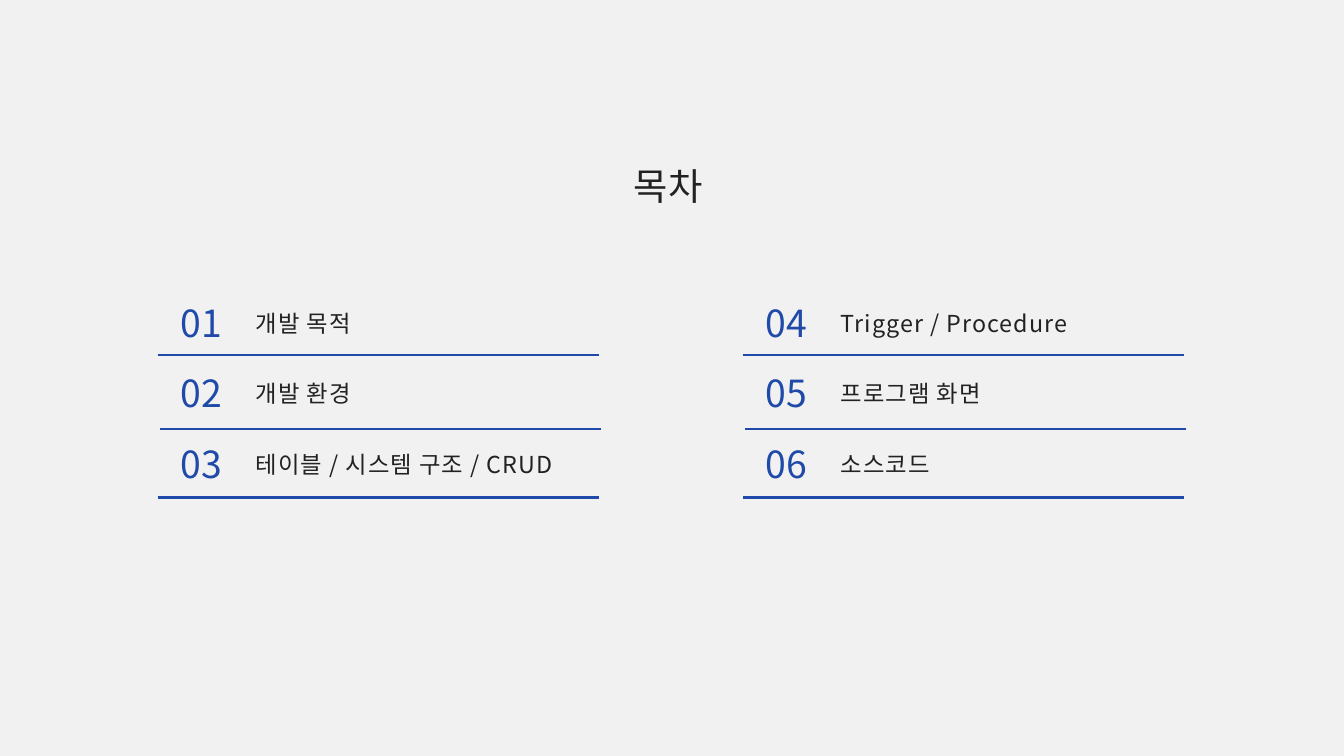
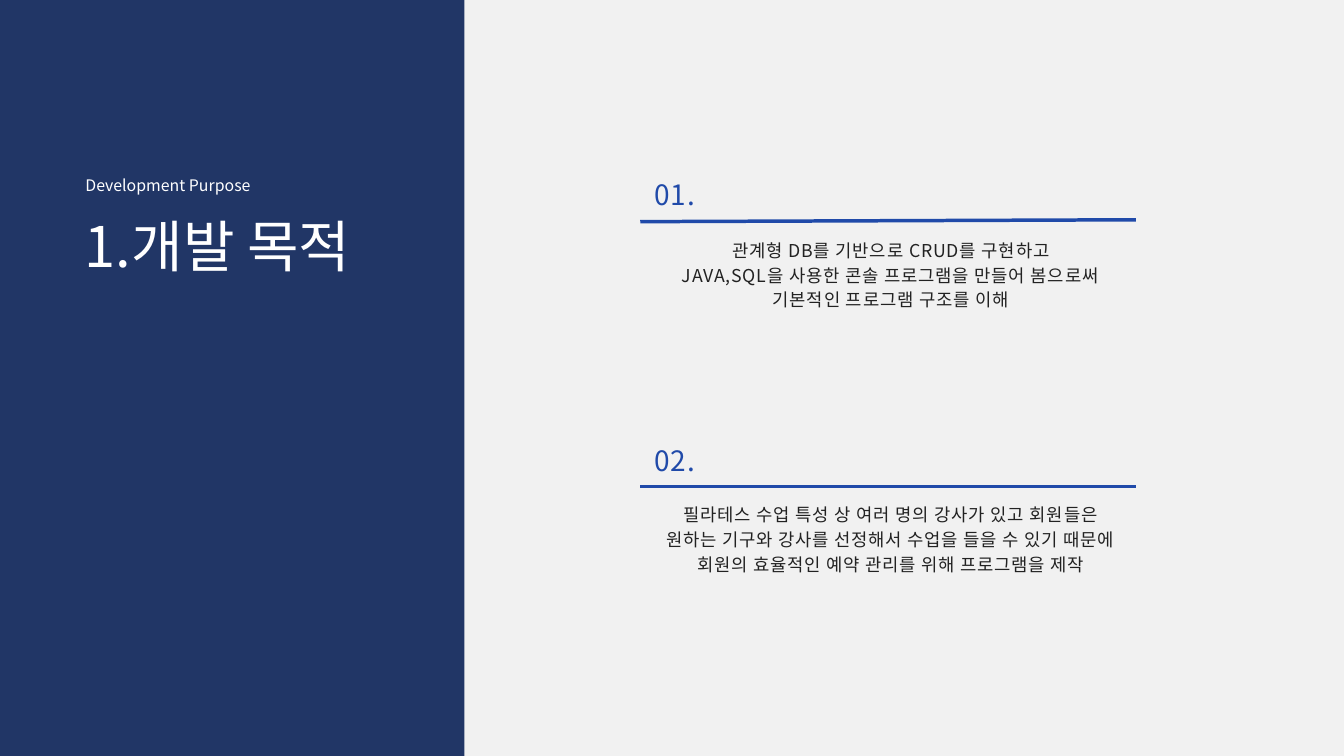
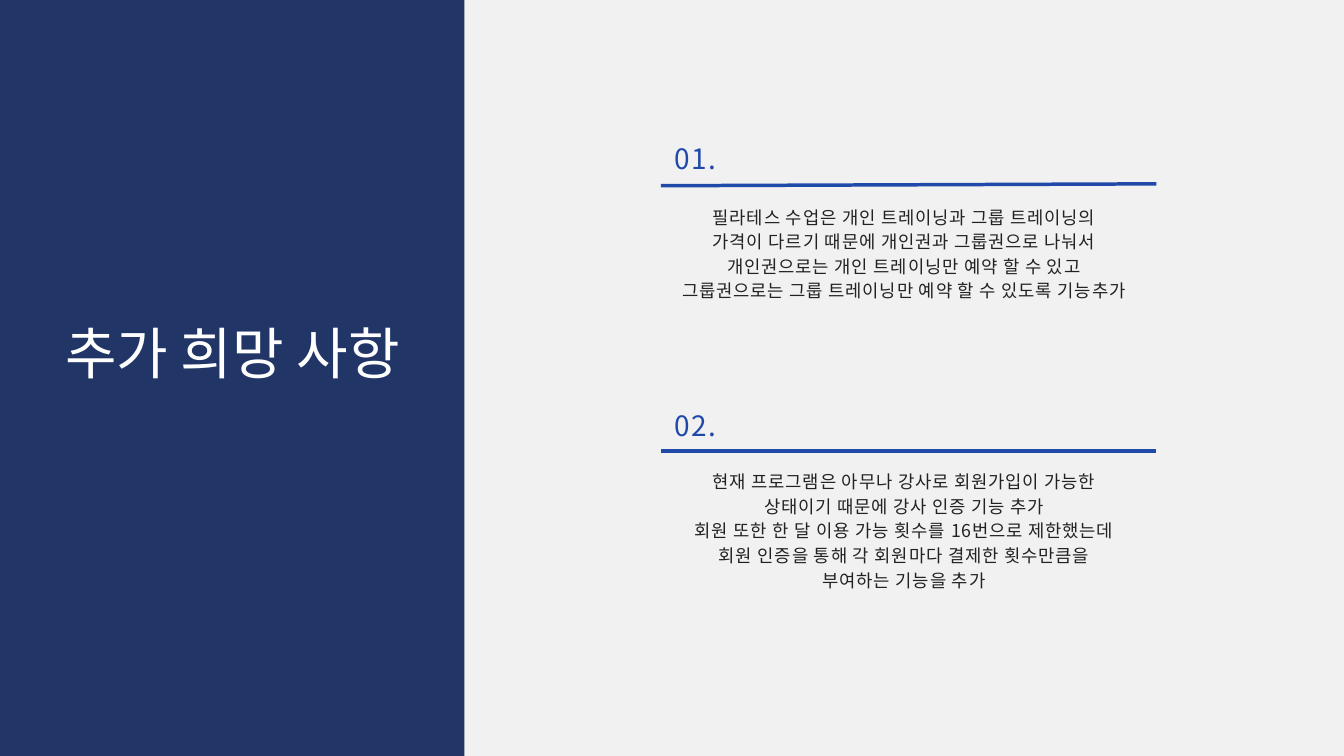
from lxml.etree import SubElement
from pptx import Presentation
from pptx.dml.color import RGBColor
from pptx.enum.shapes import MSO_CONNECTOR, MSO_SHAPE
from pptx.enum.text import MSO_AUTO_SIZE, PP_ALIGN
from pptx.oxml.ns import qn
from pptx.util import Pt

COLORS = {
    "background": "F1F1F1",
    "panel": "213666",
    "accent": "204AA9",
    "text": "222222",
    "white": "FFFFFF",
}
KOREAN_FONT = "Calibri"
MIXED_FONT = "Noto Sans CJK KR"
SLIDE_WIDTH, SLIDE_HEIGHT = 1440, 810

# size, line spacing, letter spacing, colour, alignment
STYLES = {
    "heading": (40, 56, 0, "text", PP_ALIGN.CENTER),
    "entry number": (40, 56, 0, "accent", PP_ALIGN.CENTER),
    "entry": (25, 34.7, 1.1, "text", PP_ALIGN.JUSTIFY),
    "panel title": (60, 84, 0, "white", PP_ALIGN.LEFT),
    "panel caption": (17, 23.8, 0, "white", PP_ALIGN.LEFT),
    "section number": (30, 41.7, 1.4, "accent", PP_ALIGN.LEFT),
    "body": (19, 26.4, 0.9, "text", PP_ALIGN.CENTER),
}

# number top, entry top, rule top, rule shift to the right
CONTENTS_ROWS = (
    (0, 12.5, 66.5, 0),
    (75, 88, 145.5, 2.5),
    (151, 163.5, 219, 0),
)


def rgb(name):
    return RGBColor.from_string(COLORS[name])


def font_for(line):
    """Lines holding Latin letters or digits use the mixed font."""
    mixed = any(char.isascii() and char.isalnum() for char in line)
    return MIXED_FONT if mixed else KOREAN_FONT


def add_slide(presentation):
    slide = presentation.slides.add_slide(presentation.slide_layouts[6])
    slide.background.fill.solid()
    slide.background.fill.fore_color.rgb = rgb("background")
    return slide


def add_numbering(paragraph, indent):
    paragraph.level = 1
    properties = paragraph._p.get_or_add_pPr()
    properties.set("marL", str(Pt(2 * indent)))
    properties.set("indent", str(-Pt(indent)))
    color = SubElement(properties, qn("a:buClr"))
    SubElement(color, qn("a:srgbClr"), val=COLORS["white"])
    SubElement(properties, qn("a:buFont"), typeface=MIXED_FONT)
    SubElement(properties, qn("a:buAutoNum"), type="arabicPeriod")


def add_text(slide, box, lines, style, align=None, numbering_indent=None):
    size, line_spacing, letter_spacing, color, default_align = STYLES[style]
    shape = slide.shapes.add_textbox(*map(Pt, box))
    frame = shape.text_frame
    frame.margin_left = frame.margin_right = 0
    frame.margin_top = frame.margin_bottom = 0
    frame.word_wrap = True
    frame.auto_size = MSO_AUTO_SIZE.SHAPE_TO_FIT_TEXT
    frame.text = "\n".join(lines)
    for paragraph, line in zip(frame.paragraphs, lines):
        if numbering_indent:
            add_numbering(paragraph, numbering_indent)
        paragraph.alignment = align or default_align
        paragraph.line_spacing = Pt(line_spacing)
        font = paragraph.font
        font.size = Pt(size)
        font.color.rgb = rgb(color)
        font.name = font_for(line)
        SubElement(font._element, qn("a:ea"), typeface=MIXED_FONT)
        if letter_spacing:
            font._element.set("spc", str(round(letter_spacing * 100)))


def add_rule(slide, left, top, width, weight, rise=0):
    rule = slide.shapes.add_connector(
        MSO_CONNECTOR.STRAIGHT, Pt(left), Pt(top), Pt(left + width), Pt(top - rise)
    )
    rule.line.color.rgb = rgb("accent")
    rule.line.width = Pt(weight)
    SubElement(rule._element.spPr, qn("a:effectLst"))


def add_contents_column(slide, left, top, first_number, entries):
    rows = zip(CONTENTS_ROWS, entries)
    for number, (row, entry) in enumerate(rows, first_number):
        number_top, entry_top, rule_top, rule_shift = row
        add_text(slide, (left + 15, top + number_top, 63, 53.5),
                 [f"{number:02}"], "entry number")
        add_text(slide, (left + 105, top + entry_top, 347, 34.5), [entry], "entry")
        add_rule(slide, left + rule_shift, top + rule_top, 472.5, 2.25)


def add_panel(slide):
    panel = slide.shapes.add_shape(
        MSO_SHAPE.RECTANGLE, 0, 0, Pt(497.5), Pt(SLIDE_HEIGHT)
    )
    panel.shadow.inherit = False
    panel.fill.solid()
    panel.fill.fore_color.rgb = rgb("panel")
    panel.line.fill.background()


def add_section(slide, left, top, number, body_box, lines, rise=0):
    """Place a number, its rule and a body; body_box is relative to left, top."""
    body_left, body_top, body_width = body_box
    add_rule(slide, left, top + 51 + rise, 531, 3.75, rise)
    add_text(slide, (left + 14.75, top, 246, 41), [f"{number:02}."], "section number")
    add_text(slide, (left + body_left, top + body_top, body_width, 26.4 * len(lines)),
             lines, "body")


def build_contents(presentation):
    slide = add_slide(presentation)
    add_text(slide, (476.5, 166.5, 479, 53.5), ["목차"], "heading")
    add_contents_column(slide, 169, 314, 1,
                        ["개발 목적", "개발 환경", "테이블 / 시스템 구조 / CRUD"])
    add_contents_column(slide, 796, 314, 4,
                        ["Trigger / Procedure", "프로그램 화면", "소스코드"])


def build_purpose(presentation):
    slide = add_slide(presentation)
    add_panel(slide)
    add_text(slide, (91.5, 184.5, 282, 24), ["Development Purpose"], "panel caption")
    add_text(slide, (39, 214.5, 370, 83), ["개발 목적"], "panel title",
             numbering_indent=51)
    add_section(slide, 686, 184.5, 1, (24.75, 69, 487.5), [
        "관계형 DB를 기반으로 CRUD를 구현하고",
        "JAVA,SQL을 사용한 콘솔 프로그램을 만들어 봄으로써 기본적인 프로그램 구조를 이해",
    ], rise=2)
    add_section(slide, 686, 470, 2, (24.75, 66.5, 487.5), [
        "필라테스 수업 특성 상 여러 명의 강사가 있고 회원들은",
        "원하는 기구와 강사를 선정해서 수업을 들을 수 있기 때문에 "
        "회원의 효율적인 예약 관리를 위해 프로그램을 제작",
    ])


def build_wishes(presentation):
    slide = add_slide(presentation)
    add_panel(slide)
    add_text(slide, (42, 329, 414, 83), ["추가 희망 사항"], "panel title",
             align=PP_ALIGN.CENTER)
    add_section(slide, 708, 146, 1, (2.75, 71.5, 516), [
        "필라테스 수업은 개인 트레이닝과 그룹 트레이닝의",
        "가격이 다르기 때문에 개인권과 그룹권으로 나눠서",
        "개인권으로는 개인 트레이닝만 예약 할 수 있고",
        "그룹권으로는 그룹 트레이닝만 예약 할 수 있도록 기능추가",
    ], rise=2)
    add_section(slide, 708, 432, 2, (17, 69, 487.5), [
        "현재 프로그램은 아무나 강사로 회원가입이 가능한",
        "상태이기 때문에 강사 인증 기능 추가",
        "회원 또한 한 달 이용 가능 횟수를 16번으로 제한했는데",
        "회원 인증을 통해 각 회원마다 결제한 횟수만큼을",
        "부여하는 기능을 추가",
    ])


def main():
    presentation = Presentation()
    presentation.slide_width = Pt(SLIDE_WIDTH)
    presentation.slide_height = Pt(SLIDE_HEIGHT)
    build_contents(presentation)
    build_purpose(presentation)
    build_wishes(presentation)
    presentation.save("out.pptx")


if __name__ == "__main__":
    main()
